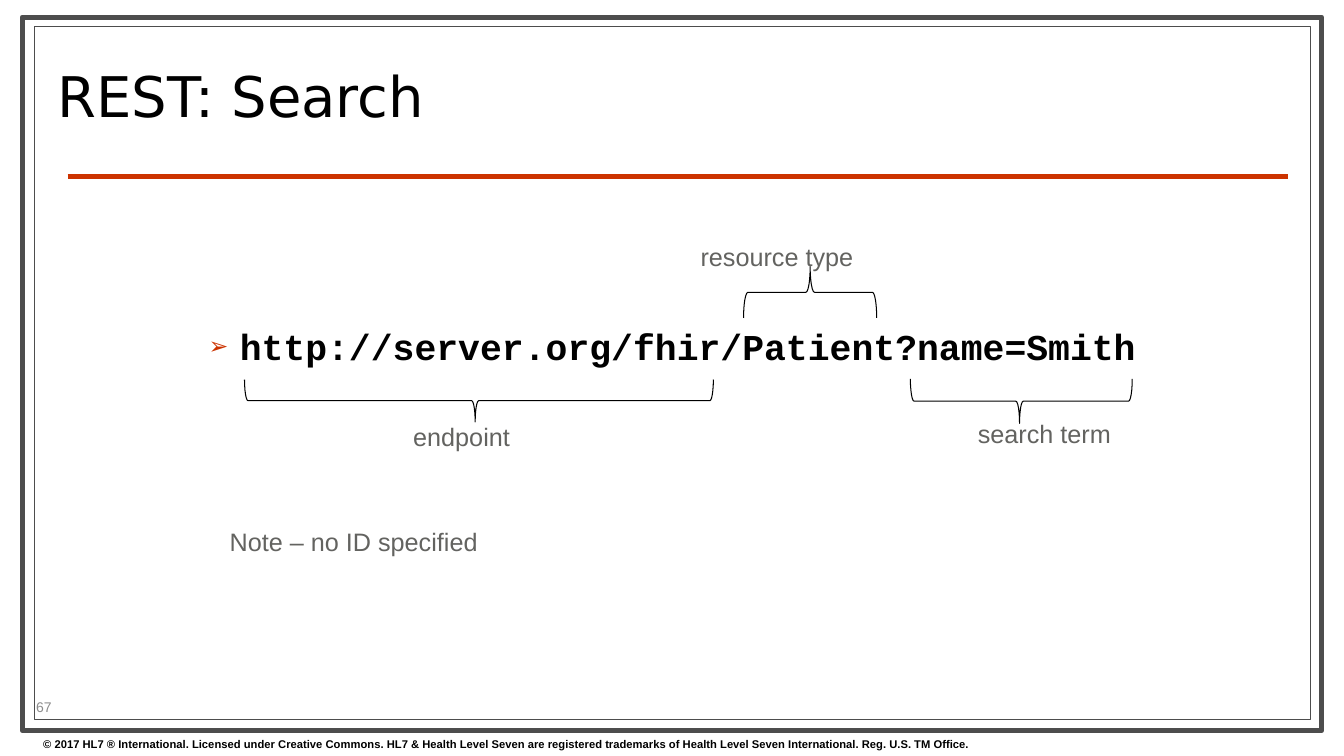
from lxml import etree
from pptx import Presentation
from pptx.dml.color import RGBColor
from pptx.enum.shapes import MSO_CONNECTOR, MSO_SHAPE
from pptx.enum.text import MSO_ANCHOR
from pptx.oxml.ns import qn
from pptx.util import Inches, Pt

LINE = MSO_CONNECTOR.STRAIGHT
RECT = MSO_SHAPE.RECTANGLE
BRACE = MSO_SHAPE.LEFT_BRACE
TOP, MID = MSO_ANCHOR.TOP, MSO_ANCHOR.MIDDLE


def color(code):
    return RGBColor.from_string(code)


def add_text(text, x, y, w, h, size=18, font="Arial", fill="636360",
             bold=False, anchor=TOP, wrap=False, space=1.0, bullet=None):
    frame = slide.shapes.add_textbox(Inches(x), Inches(y), Inches(w), Inches(h)).text_frame
    frame.word_wrap = wrap
    frame.vertical_anchor = anchor
    para = frame.paragraphs[0]
    para.line_spacing = space
    if bullet:
        props = para._p.get_or_add_pPr()
        props.set("marL", str(Inches(0.81)))
        props.set("indent", str(Inches(-0.31)))
        tint = etree.SubElement(props, qn("a:buClr"))
        etree.SubElement(tint, qn("a:srgbClr"), val="CC3300")
        etree.SubElement(props, qn("a:buSzPct"), val="65000")
        etree.SubElement(props, qn("a:buFont"), typeface="Arial")
        etree.SubElement(props, qn("a:buChar"), char=bullet)
    run = para.add_run()
    run.text = text
    run.font.size = Pt(size)
    run.font.name = font
    run.font.bold = bold
    run.font.color.rgb = color(fill)


deck = Presentation()
deck.slide_width, deck.slide_height = Inches(13.33), Inches(7.5)
slide = deck.slides.add_slide(deck.slide_layouts[6])

frames = [(0.22, 0.17, 12.89, 7.08, 3.5), (0.34, 0.26, 12.66, 6.88, 0.75)]
for x, y, w, h, weight in frames:
    border = slide.shapes.add_shape(RECT, Inches(x), Inches(y), Inches(w), Inches(h))
    border.shadow.inherit = False
    border.fill.solid()
    border.fill.fore_color.rgb = color("FFFFFF")
    border.line.color.rgb = color("4D4D4D")
    border.line.width = Pt(weight)

rule = slide.shapes.add_connector(LINE, Inches(0.67), Inches(1.75), Inches(12.77), Inches(1.75))
rule.line.color.rgb = color("CC3300")
rule.line.width = Pt(3)
etree.SubElement(rule._element.spPr, qn("a:effectLst"))

add_text("© 2017 HL7 ® International. Licensed under Creative Commons. "
         "HL7 & Health Level Seven are registered trademarks of "
         "Health Level Seven International. Reg. U.S. TM Office.",
         0.33, 7.27, 12.9, 0.23, size=8, fill="000000", bold=True, wrap=True)
add_text("REST: Search", 0.47, 0.36, 9.55, 1.29, size=40, font="DejaVu Sans",
         fill="000000", anchor=MID, wrap=True, space=0.8)
add_text("http://server.org/fhir/Patient?name=Smith", 1.47, 3.17, 11.5, 0.51,
         size=26, font="Courier New", fill="000000", bold=True, wrap=True, bullet="➢")

braces = [
    (4.54, 1.65, 0.42, 4.65, 270, 0.492),
    (7.78, 2.24, 0.51, 1.32, 90, 0.5),
    (9.91, 2.88, 0.44, 2.2, 270, 0.492),
]
for x, y, w, h, turn, tip in braces:
    brace = slide.shapes.add_shape(BRACE, Inches(x), Inches(y), Inches(w), Inches(h))
    brace.shadow.inherit = False
    brace.rotation = turn
    brace.adjustments[0] = 0.083
    brace.adjustments[1] = tip
    brace.fill.background()
    brace.line.color.rgb = color("000000")
    brace.line.width = Pt(0.75)

labels = [
    ("endpoint", 4, 4.13, 1.17),
    ("resource type", 6.85, 2.34, 1.73),
    ("search term", 9.6, 4.1, 1.53),
    ("Note – no ID specified", 2.18, 5.17, 2.68),
]
for text, x, y, w in labels:
    add_text(text, x, y, w, 0.4)

add_text("67", 0.26, 6.89, 1.05, 0.24, size=10, fill="8C8C8C", anchor=MID, wrap=True)

deck.save("out.pptx")
